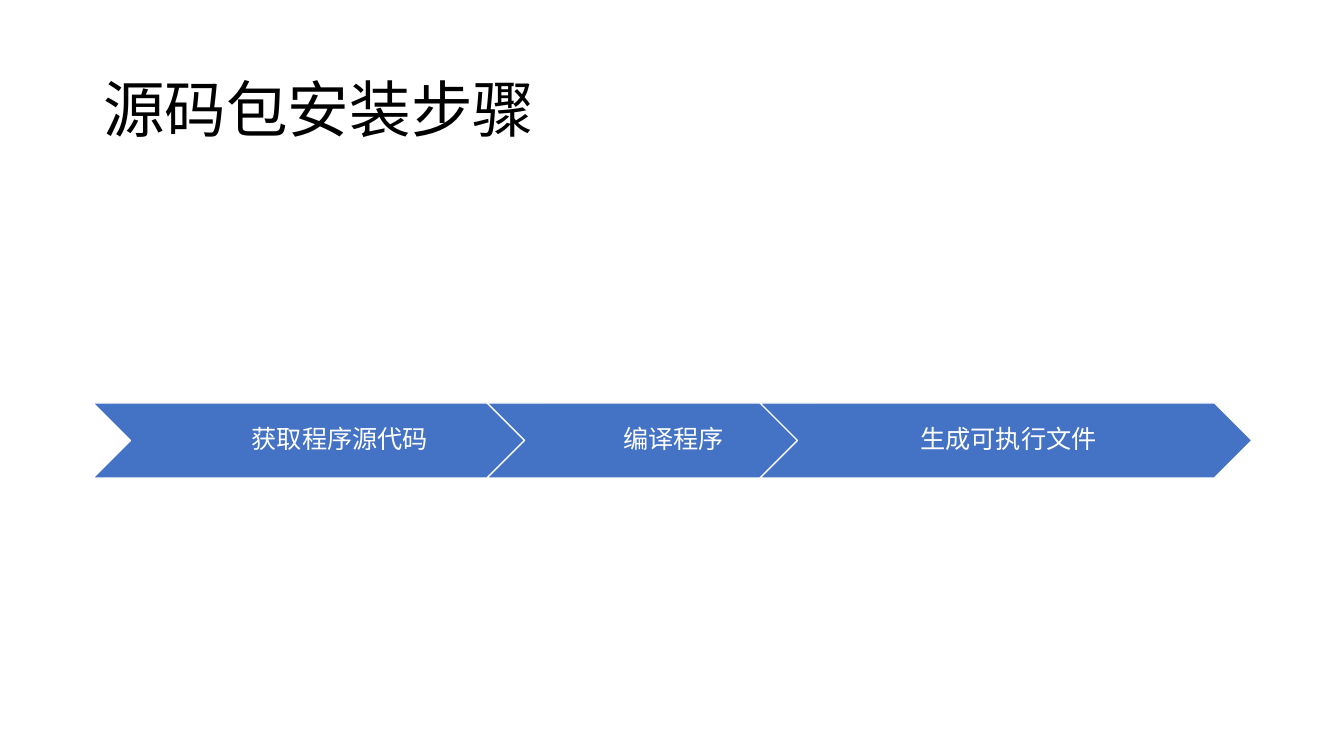
from pptx import Presentation
from pptx.dml.color import RGBColor
from pptx.enum.shapes import MSO_SHAPE as Shape
from pptx.enum.text import MSO_ANCHOR as Anchor, MSO_AUTO_SIZE as Fit, PP_ALIGN as Align
from pptx.util import Emu, Pt

SCALE = 914400 / 100.8
STEPS = [("获取程序源代码", 489), ("编译程序", 368), ("生成可执行文件", 492)]
LAP = 95


def px(n):
    """Turn pixels into EMU."""
    return Emu(round(n * SCALE))


def color(code):
    """Turn a hex string into a colour."""
    return RGBColor.from_string(code)


def write(frame, text, face, size, code, align):
    """Fill a text frame with one formatted paragraph."""
    frame.text = text
    frame.word_wrap = True
    frame.auto_size = Fit.NONE
    frame.vertical_anchor = Anchor.MIDDLE
    para = frame.paragraphs[0]
    para.alignment = align
    para.line_spacing = 0.9
    font = para.font
    font.name, font.size = face, Pt(size)
    font.color.rgb = color(code)


def add_title(slide, text, x, y, w, h):
    """Place the title in its box."""
    title = slide.shapes.title
    title.left, title.top, title.width, title.height = map(px, (x, y, w, h))
    write(title.text_frame, text, "Noto Sans CJK SC", 44, "000000", Align.LEFT)


def add_step(slide, text, x, y, w, h):
    """Draw one chevron with its label."""
    step = slide.shapes.add_shape(Shape.CHEVRON, *map(px, (x, y, w, h)))
    step.shadow.inherit = False
    step.fill.solid()
    step.fill.fore_color.rgb = color("4472C4")
    step.line.color.rgb = color("FFFFFF")
    step.line.width = Pt(1)
    frame = step.text_frame
    frame.margin_left = px(8)
    frame.margin_top = frame.margin_right = frame.margin_bottom = px(3)
    write(frame, text, "Times New Roman", 18, "FFFFFF", Align.CENTER)


def add_flow(slide, steps, x, y, h):
    """Chain overlapping chevrons from left to right."""
    for text, w in steps:
        add_step(slide, text, x, y, w, h)
        x += w - LAP


deck = Presentation()
deck.slide_width, deck.slide_height = px(1344), px(756)
slide = deck.slides.add_slide(deck.slide_layouts[5])
add_title(slide, "源码包安装步骤", 93, 40, 1159, 146)
add_flow(slide, STEPS, 93, 403, 75)
deck.save("out.pptx")
